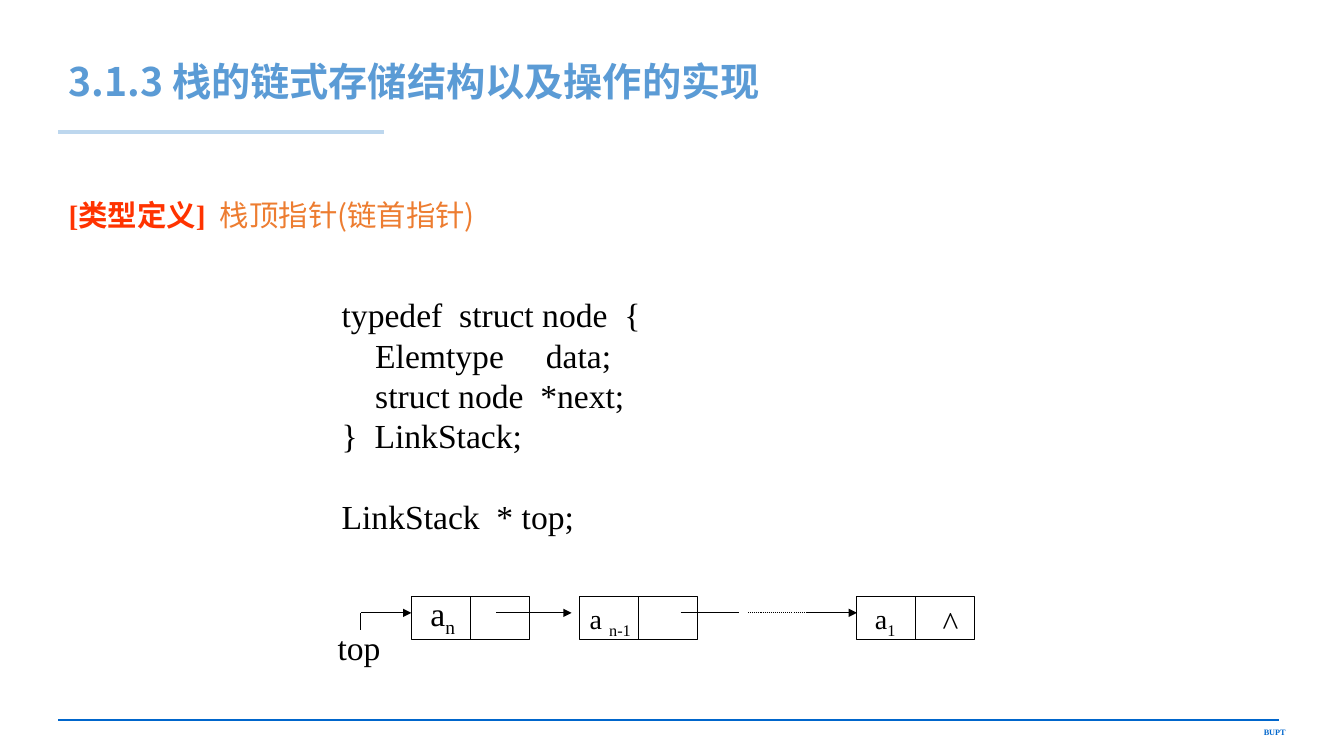
"""Build the slide on the linked storage structure of a stack."""
from dataclasses import dataclass

from lxml.etree import SubElement
from pptx import Presentation
from pptx.dml.color import RGBColor
from pptx.enum.dml import MSO_LINE
from pptx.enum.shapes import MSO_CONNECTOR, MSO_SHAPE
from pptx.enum.text import MSO_ANCHOR, MSO_AUTO_SIZE, PP_ALIGN
from pptx.oxml.ns import qn
from pptx.util import Inches, Pt


@dataclass(frozen=True)
class Theme:
    serif: str = "Times New Roman"
    sans: str = "Noto Sans CJK SC"
    ink: str = "000000"
    paper: str = "FFFFFF"
    title: str = "5B9BD5"
    underline: str = "BDD7EE"
    footer: str = "0066CC"
    heading: str = "FF3300"
    accent: str = "ED7D31"
    title_size: float = 28
    body_size: float = 21
    code_size: float = 24
    code_pitch: float = 28.8
    label_size: float = 24
    small_label_size: float = 20
    footer_size: float = 5.9
    thin: float = 0.75


THEME = Theme()
TITLE = "3.1.3 栈的链式存储结构以及操作的实现"
HEADING, SUBJECT = "[类型定义]", "栈顶指针(链首指针)"
FOOTER = "BUPT"
STRUCT_CODE = [
    "typedef  struct node  {",
    "    Elemtype     data;",
    "    struct node  *next;",
    "}  LinkStack;",
]
POINTER_CODE = "LinkStack  * top;"

NODE_TOP, NODE_WIDTH, NODE_HEIGHT = 5.92, 1.17, 0.42
NODE_LEFTS = [4.08, 5.75, 8.5]
LINK_Y = 6.08
LINKS = [
    (3.58, 4.08, True, False),
    (4.92, 5.67, True, False),
    (6.75, 7.33, False, False),
    (7.42, 8.17, False, True),
    (8.0, 8.5, True, False),
]
LABELS = [
    ((3.25, 6.17, 0.92, 0.5), "top", "", THEME.label_size),
    ((4.17, 5.83, 0.5, 0.5), "a", "n", THEME.label_size),
    ((5.75, 5.92, 0.75, 0.43), "a ", "n-1", THEME.small_label_size),
    ((8.58, 5.92, 0.5, 0.43), "a", "1", THEME.small_label_size),
    ((9.25, 5.92, 0.58, 0.5), "^", "", THEME.label_size),
]


def color(value):
    """Return an RGB colour."""
    return RGBColor.from_string(value)


def add_span(para, text, size, ink=THEME.ink, face=THEME.serif, bold=False):
    """Add one formatted run to a paragraph."""
    span = para.add_run()
    span.text = text
    span.font.size = Pt(size)
    span.font.bold = bold
    span.font.color.rgb = color(ink)
    span.font.name = face
    SubElement(span.font._element, qn("a:ea"), typeface=THEME.sans)
    return span


def place(shape, left, top, width, height):
    """Move and size a shape."""
    shape.left, shape.top = Inches(left), Inches(top)
    shape.width, shape.height = Inches(width), Inches(height)


def add_line(page, start, end, ink=THEME.ink, width=THEME.thin, arrow=False, dotted=False):
    """Draw a straight line, with an optional arrowhead or dots."""
    line = page.shapes.add_connector(
        MSO_CONNECTOR.STRAIGHT, *(Inches(value) for value in start + end))
    line.line.color.rgb = color(ink)
    line.line.width = Pt(width)
    if dotted:
        line.line.dash_style = MSO_LINE.ROUND_DOT
    if arrow:
        SubElement(line.line._get_or_add_ln(), qn("a:tailEnd"), type="triangle")
    SubElement(line._element.spPr, qn("a:effectLst"))
    return line


def add_rectangle(page, left, top, width, height):
    """Add a rectangle without shadow."""
    box = page.shapes.add_shape(
        MSO_SHAPE.RECTANGLE, *(Inches(value) for value in (left, top, width, height)))
    box.shadow.inherit = False
    return box


def add_node(page, left):
    """Draw a list node split into its data and pointer fields."""
    node = add_rectangle(page, left, NODE_TOP, NODE_WIDTH, NODE_HEIGHT)
    node.fill.background()
    node.line.color.rgb = color(THEME.ink)
    node.line.width = Pt(THEME.thin)
    middle = left + NODE_WIDTH / 2
    divider = add_line(page, (middle, NODE_TOP), (middle, NODE_TOP + NODE_HEIGHT))
    divider.begin_connect(node, 0)
    divider.end_connect(node, 2)


def add_label(page, area):
    """Add a wrapping text box and return its first paragraph."""
    box = page.shapes.add_textbox(*(Inches(value) for value in area))
    box.text_frame.word_wrap = True
    return box.text_frame.paragraphs[0]


def add_headings(page):
    """Fill the title and body placeholders."""
    title, body = page.shapes.title, page.placeholders[1]
    place(title, 0.58, 0.36, 11.29, 0.94)
    place(body, 0.58, 1.94, 11.29, 4.76)
    for holder in (title, body):
        holder.text_frame.word_wrap = True
        holder.text_frame.auto_size = MSO_AUTO_SIZE.NONE
        para = holder.text_frame.paragraphs[0]
        para.alignment = PP_ALIGN.LEFT
        para.line_spacing = 0.9
        para.space_before = Pt(0)
    title.text_frame.vertical_anchor = MSO_ANCHOR.MIDDLE
    add_span(title.text_frame.paragraphs[0], TITLE, THEME.title_size,
             THEME.title, THEME.sans, True)

    para = body.text_frame.paragraphs[0]
    properties = para._p.get_or_add_pPr()
    properties.set("marL", "0")
    properties.set("indent", "0")
    SubElement(properties, qn("a:buNone"))
    tabs = SubElement(properties, qn("a:tabLst"))
    SubElement(tabs, qn("a:tab"), pos=str(Inches(2.07)), algn="l")
    add_span(para, HEADING + "\t", THEME.body_size, THEME.heading, bold=True)
    add_span(para, SUBJECT, THEME.body_size, THEME.accent, THEME.sans)


def add_code(page):
    """Add the type definition and the pointer declaration."""
    box = add_rectangle(page, 3.29, 2.87, 6.42, 2.52)
    box.fill.solid()
    box.fill.fore_color.rgb = color(THEME.paper)
    box.line.fill.background()
    frame = box.text_frame
    frame.word_wrap = True
    frame.vertical_anchor = MSO_ANCHOR.TOP
    for index, text in enumerate(STRUCT_CODE + [POINTER_CODE]):
        para = frame.add_paragraph() if index else frame.paragraphs[0]
        para.alignment = PP_ALIGN.LEFT
        para.line_spacing = Pt(THEME.code_pitch)
        add_span(para, text, THEME.code_size)
    para.space_before = Pt(THEME.code_pitch)


def add_linked_list(page):
    """Draw the nodes, the links and their labels."""
    for left in NODE_LEFTS:
        add_node(page, left)
    for start, end, arrow, dotted in LINKS:
        add_line(page, (start, LINK_Y), (end, LINK_Y), arrow=arrow, dotted=dotted)
    add_line(page, (LINKS[0][0], LINK_Y), (LINKS[0][0], 6.25))
    for area, text, subscript, size in LABELS:
        para = add_label(page, area)
        add_span(para, text, size)
        if subscript:
            span = add_span(para, subscript, size)
            span.font._element.set("baseline", "-25000")


def main():
    """Assemble and save the deck."""
    deck = Presentation()
    deck.slide_width, deck.slide_height = Inches(13.33), Inches(7.5)
    page = deck.slides.add_slide(deck.slide_layouts[1])
    add_line(page, (0.58, 7.14), (12.69, 7.14), THEME.footer, 1.5)
    add_line(page, (0.58, 1.31), (3.81, 1.31), THEME.underline, 3.5)
    footer = add_label(page, (11.5, 7.17, 1.35, 0.2))
    footer.alignment = PP_ALIGN.RIGHT
    add_span(footer, FOOTER, THEME.footer_size, THEME.footer, bold=True)
    add_headings(page)
    add_code(page)
    add_linked_list(page)
    deck.save("out.pptx")


if __name__ == "__main__":
    main()
